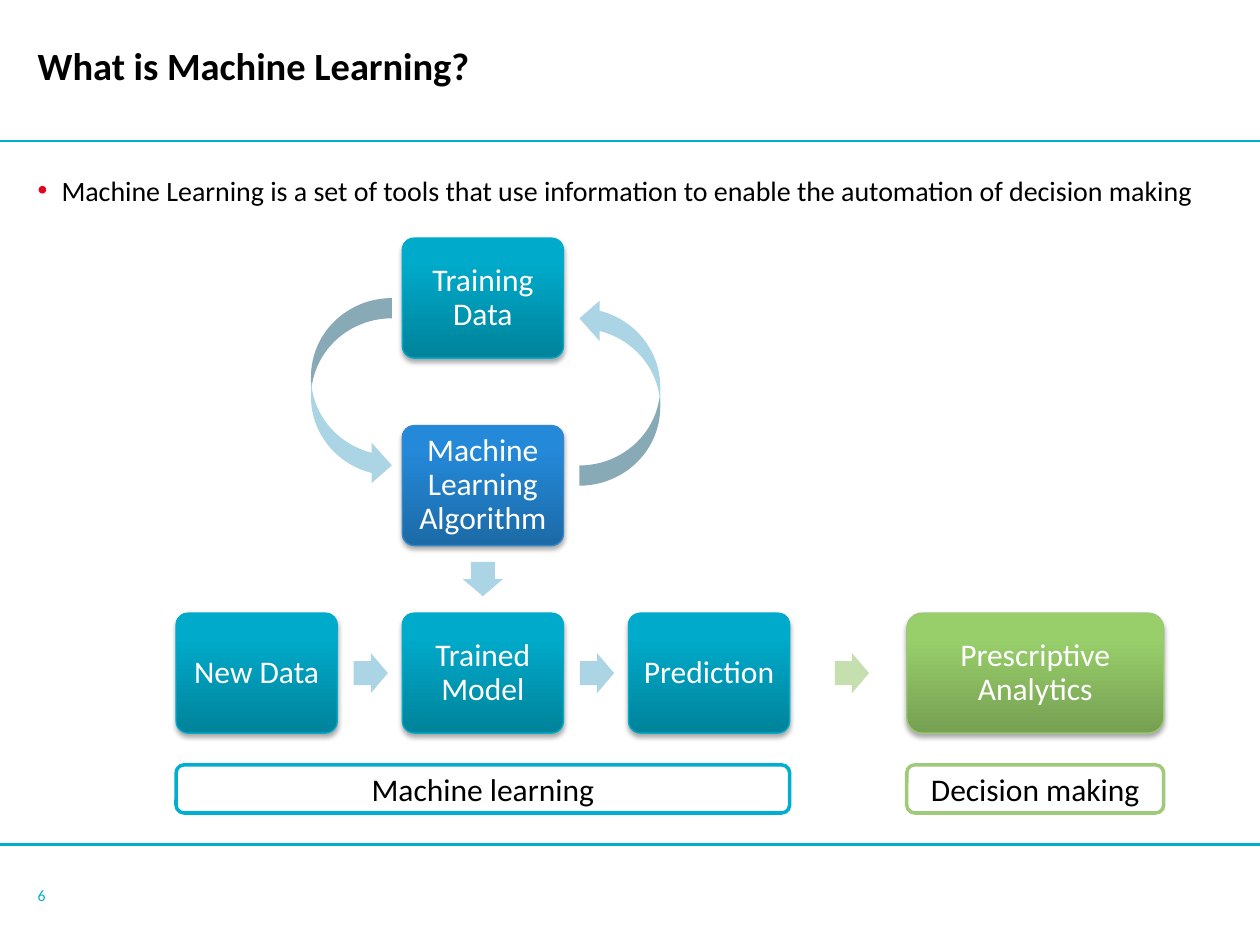
from dataclasses import dataclass

from lxml.etree import SubElement
from pptx import Presentation
from pptx.dml.color import RGBColor
from pptx.enum.shapes import MSO_CONNECTOR, MSO_SHAPE
from pptx.enum.text import MSO_ANCHOR, MSO_AUTO_SIZE, PP_ALIGN
from pptx.oxml.ns import qn
from pptx.util import Cm, Pt


@dataclass(frozen=True)
class Theme:
    font: str = "Calibri"
    title_size: float = 22
    body_size: float = 16
    label_size: float = 18
    number_size: float = 9
    black: str = "000000"
    white: str = "FFFFFF"
    accent: str = "00AFD0"
    bullet: str = "E1061C"
    arrow: str = "ABD4E4"
    green_arrow: str = "C5DFAF"
    green_border: str = "9FCA7A"
    # Cards: dark bottom, light top, outline
    teal: tuple = ("00839B", "00AACA", "00ABCB")
    blue: tuple = ("1C6AA7", "2489D9", "3688C9")
    green: tuple = ("76A052", "99CF6B", "9BC875")


@dataclass(frozen=True)
class Box:
    """A rectangle in centimetres."""
    left: float
    top: float
    width: float
    height: float

    def inner(self, left, top, width, height):
        return Box(self.left + left, self.top + top, width, height)

    def lengths(self):
        return [Cm(n) for n in (self.left, self.top, self.width, self.height)]


THEME = Theme()
WIDTH, HEIGHT = 25.4, 19.05
MARGIN, TEXT_WIDTH = 0.76, 24.13
CARD_WIDTH, CARD_HEIGHT = 3.25, 2.42
COLUMN_STEP, ROW_STEP = 4.56, 3.78
ARROW_LENGTH, ARROW_BREADTH, ARROW_GAP = 0.69, 0.81, 0.33


def rgb(color):
    return RGBColor.from_string(color)


def set_text(shape, text, size, color, bold=False, align=PP_ALIGN.LEFT,
             anchor=MSO_ANCHOR.MIDDLE, inset=0):
    frame = shape.text_frame
    frame.text = text
    frame.word_wrap = True
    frame.auto_size = MSO_AUTO_SIZE.NONE
    frame.vertical_anchor = anchor
    frame.margin_left = frame.margin_right = Cm(inset)
    frame.margin_top = frame.margin_bottom = Cm(inset)
    para = frame.paragraphs[0]
    para.alignment = align
    font = para.runs[0].font
    font.name, font.size, font.bold = THEME.font, Pt(size), bold
    font.color.rgb = rgb(color)
    return para


def place(shape, box):
    shape.left, shape.top, shape.width, shape.height = box.lengths()


def add_rule(page, top):
    rule = page.shapes.add_connector(
        MSO_CONNECTOR.STRAIGHT, 0, Cm(top), Cm(WIDTH), Cm(top))
    rule.line.color.rgb = rgb(THEME.accent)
    rule.line.width = Pt(1.5)
    SubElement(rule._element.spPr, qn("a:effectLst"))


def add_arrow(page, kind, box, color=THEME.arrow):
    arrow = page.shapes.add_shape(kind, *box.lengths())
    arrow.shadow.inherit = False
    arrow.fill.solid()
    arrow.fill.fore_color.rgb = rgb(color)
    arrow.line.fill.background()
    return arrow


def add_block_arrow(page, kind, box, color=THEME.arrow):
    arrow = add_arrow(page, kind, box, color)
    arrow.adjustments[0] = 0.6
    arrow.adjustments[1] = 0.5


def add_right_arrow(page, left, card_top, color=THEME.arrow):
    top = card_top + (CARD_HEIGHT - ARROW_BREADTH) / 2
    add_block_arrow(page, MSO_SHAPE.RIGHT_ARROW,
                    Box(left, top, ARROW_LENGTH, ARROW_BREADTH), color)


def add_card(page, box, text, colors, corner=0.1):
    dark, light, outline = colors
    card = page.shapes.add_shape(MSO_SHAPE.ROUNDED_RECTANGLE, *box.lengths())
    card.adjustments[0] = corner
    card.fill.gradient()
    card.fill.gradient_angle = 90
    for stop, color, position in zip(card.fill.gradient_stops, (dark, light), (0, 0.8)):
        stop.color.rgb = rgb(color)
        stop.position = position
    card.line.color.rgb = rgb(outline)
    card.line.width = Pt(0.75)
    # Soft shadow below the card
    card.shadow.inherit = False
    effects = card._element.spPr.find(qn("a:effectLst"))
    shadow = SubElement(effects, qn("a:outerShdw"), blurRad=str(Pt(3.1)),
                        dist=str(Pt(1.8)), dir="5400000", rotWithShape="0")
    shade = SubElement(shadow, qn("a:srgbClr"), val=THEME.black)
    SubElement(shade, qn("a:alpha"), val="35000")
    # The rounded corners add to the inset
    para = set_text(card, text, THEME.label_size, THEME.white,
                    align=PP_ALIGN.CENTER, inset=0.14)
    para.line_spacing = 0.9


def add_caption(page, box, text, border):
    caption = page.shapes.add_shape(MSO_SHAPE.ROUNDED_RECTANGLE, *box.lengths())
    caption.shadow.inherit = False
    caption.fill.solid()
    caption.fill.fore_color.rgb = rgb(THEME.white)
    caption.line.color.rgb = rgb(border)
    caption.line.width = Pt(2)
    set_text(caption, text, THEME.label_size, THEME.black,
             align=PP_ALIGN.CENTER, inset=0.13)


def add_title(page, box):
    title = page.shapes.title
    place(title, box)
    para = set_text(title, "What is Machine Learning?", THEME.title_size,
                    THEME.black, bold=True)
    para.line_spacing = Pt(22)


def add_statement(page, box):
    body = page.placeholders[1]
    place(body, box)
    para = set_text(body, "Machine Learning is a set of tools that use information "
                    "to enable the automation of decision making",
                    THEME.body_size, THEME.black, anchor=MSO_ANCHOR.TOP)
    # Red hanging bullet
    properties = para._p.get_or_add_pPr()
    properties.set("marL", str(Cm(0.48)))
    properties.set("indent", str(-Cm(0.48)))
    SubElement(SubElement(properties, qn("a:buClr")), qn("a:srgbClr"), val=THEME.bullet)
    SubElement(properties, qn("a:buChar"), char="•")


def add_learning_flow(page, box):
    def cell(column, row):
        return box.inner(column * COLUMN_STEP, row * ROW_STEP, CARD_WIDTH, CARD_HEIGHT)

    # Training loop above the row of the trained model
    cards = [("Training Data", 1, 0, THEME.teal),
             ("Machine Learning Algorithm", 1, 1, THEME.blue),
             ("New Data", 0, 2, THEME.teal),
             ("Trained Model", 1, 2, THEME.teal),
             ("Prediction", 2, 2, THEME.teal)]
    for text, column, row, colors in cards:
        add_card(page, cell(column, row), text, colors)

    # Arrows in the gaps between cards
    for column in (0, 1):
        card = cell(column, 2)
        add_right_arrow(page, card.left + CARD_WIDTH + ARROW_GAP, card.top)
    add_block_arrow(page, MSO_SHAPE.DOWN_ARROW, cell(1, 1).inner(
        (CARD_WIDTH - ARROW_BREADTH) / 2, CARD_HEIGHT + ARROW_GAP,
        ARROW_BREADTH, ARROW_LENGTH))

    # Curved arrows of the loop, the right one turned round
    curve_width, curve_top = 1.63, CARD_HEIGHT / 2
    for offset, turn in ((-0.21 - curve_width, 0), (CARD_WIDTH + 0.32, 180)):
        curve = cell(1, 0).inner(offset, curve_top, curve_width, ROW_STEP)
        add_arrow(page, MSO_SHAPE.CURVED_RIGHT_ARROW, curve).rotation = turn

    add_caption(page, box.inner(0, 10.62, box.width, 0.97),
                "Machine learning", THEME.accent)


def add_decision_part(page, box):
    add_right_arrow(page, box.left - 1.45, box.top, THEME.green_arrow)
    add_card(page, box.inner(0, 0, box.width, CARD_HEIGHT),
             "Prescriptive Analytics", THEME.green, corner=0.13)
    add_caption(page, box.inner(0, 3.06, box.width, 0.97),
                "Decision making", THEME.green_border)


def add_page_number(page, box):
    number = page.shapes.add_textbox(*box.lengths())
    set_text(number, "6", THEME.number_size, THEME.accent)


def main():
    deck = Presentation()
    deck.slide_width, deck.slide_height = Cm(WIDTH), Cm(HEIGHT)
    page = deck.slides.add_slide(deck.slide_layouts[1])
    for top in (2.84, 17.02):
        add_rule(page, top)
    add_page_number(page, Box(MARGIN, 17.55, 0.76, 1))
    add_title(page, Box(MARGIN, 0, TEXT_WIDTH, 2.79))
    add_statement(page, Box(MARGIN, 3.5, TEXT_WIDTH, 13))
    add_learning_flow(page, Box(3.55, 4.8, 2 * COLUMN_STEP + CARD_WIDTH, 11.59))
    add_decision_part(page, Box(18.28, 12.36, 5.18, 4.03))
    deck.save("out.pptx")


if __name__ == "__main__":
    main()
